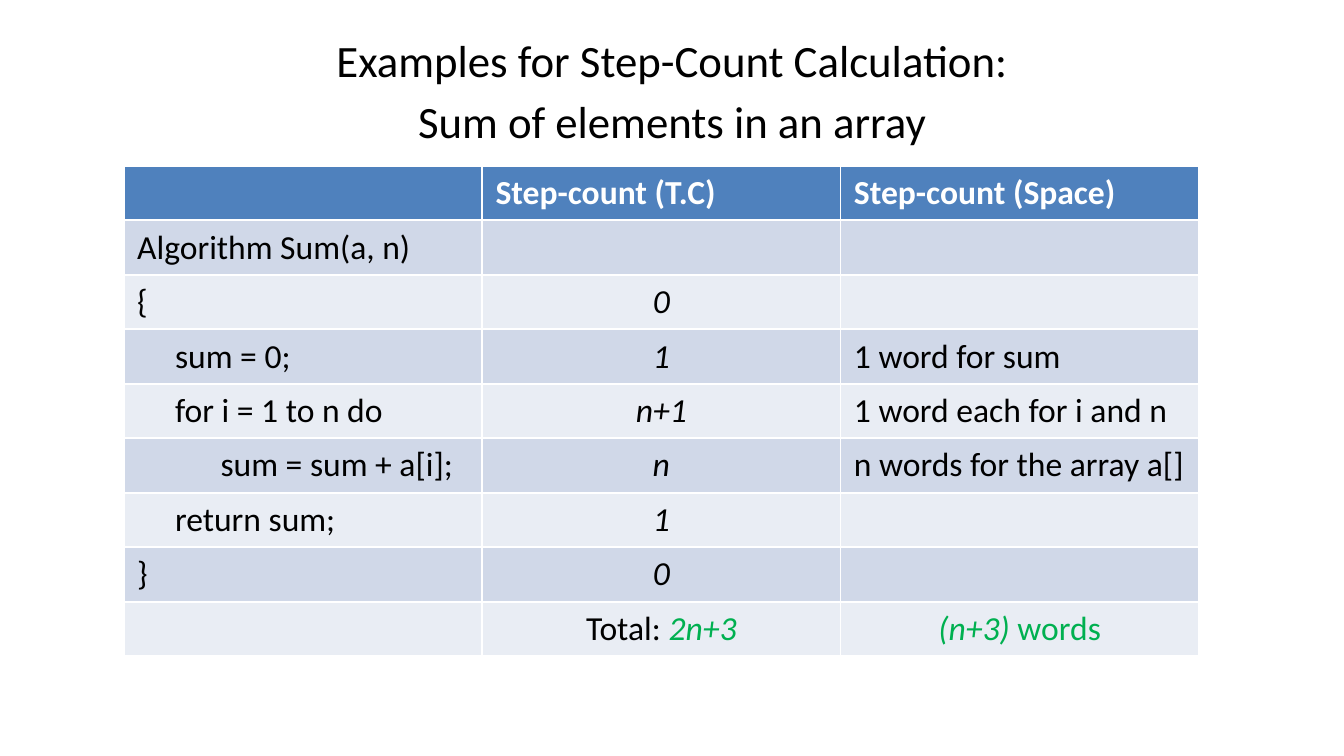
"""Build a slide with the step counts of an array-sum algorithm."""
from pptx import Presentation
from pptx.dml.color import RGBColor
from pptx.enum.text import MSO_ANCHOR, PP_ALIGN
from pptx.util import Pt

LEFT, CENTER = PP_ALIGN.LEFT, PP_ALIGN.CENTER
TOP, MIDDLE = MSO_ANCHOR.TOP, MSO_ANCHOR.MIDDLE
BLACK = RGBColor(0x00, 0x00, 0x00)
WHITE = RGBColor(0xFF, 0xFF, 0xFF)
GREEN = RGBColor(0x00, 0xB0, 0x50)
BLUE = RGBColor(0x4F, 0x81, 0xBD)
BANDS = RGBColor(0xE9, 0xED, 0xF4), RGBColor(0xD0, 0xD8, 0xE8)
FONT = "Calibri"

HEADINGS = [
    ("Examples for Step-Count Calculation:", 16.5, 30.3, MIDDLE),
    ("Sum of elements in an array", 46.8, 315, TOP),
]
COLUMNS = ["", "Step-count (T.C)", "Step-count (Space)"]
STEPS = [
    ("Algorithm Sum(a, n)", "", ""),
    ("{", "0", ""),
    ("     sum = 0;", "1", "1 word for sum"),
    ("     for i = 1 to n do", "n+1", "1 word each for i and n"),
    ("           sum = sum + a[i];", "n", "n words for the array a[]"),
    ("     return sum;", "1", ""),
    ("}", "0", ""),
]
TOTALS = [
    [],
    [("Total: ", BLACK, False), ("2n+3", GREEN, True)],
    [("(n+3)", GREEN, True), (" words", GREEN, False)],
]
TABLE_LEFT, TABLE_TOP = 66.3, 88.8
COLUMN_WIDTH, ROW_HEIGHT = 192, 29.2


def add_run(paragraph, text, size, color, italic=False, bold=False):
    run = paragraph.add_run()
    run.text = text
    font = run.font
    font.name, font.size, font.color.rgb = FONT, Pt(size), color
    font.italic, font.bold = italic, bold


def fill_cell(cell, background, runs, align=LEFT, bold=False):
    cell.fill.solid()
    cell.fill.fore_color.rgb = background
    paragraph = cell.text_frame.paragraphs[0]
    paragraph.alignment = align
    for text, color, italic in runs:
        add_run(paragraph, text, 18, color, italic, bold)


def add_headings(slide):
    for text, top, height, anchor in HEADINGS:
        frame = slide.shapes.add_textbox(Pt(36), Pt(top), Pt(648), Pt(height)).text_frame
        frame.word_wrap = True
        frame.vertical_anchor = anchor
        heading = frame.paragraphs[0]
        heading.alignment = CENTER
        add_run(heading, text, 24, BLACK)


def add_step_table(slide):
    row_count, column_count = len(STEPS) + 2, len(COLUMNS)
    table = slide.shapes.add_table(
        row_count, column_count, Pt(TABLE_LEFT), Pt(TABLE_TOP),
        Pt(COLUMN_WIDTH * column_count), Pt(ROW_HEIGHT * row_count)).table
    for column, label in enumerate(COLUMNS):
        runs = [(label, WHITE, False)] if label else []
        fill_cell(table.cell(0, column), BLUE, runs, bold=True)
    for row, step in enumerate(STEPS, 1):
        for column, text in enumerate(step):
            is_count = column == 1
            runs = [(text, BLACK, is_count)] if text else []
            fill_cell(table.cell(row, column), BANDS[row % 2], runs,
                      CENTER if is_count else LEFT)
    last = row_count - 1
    for column, runs in enumerate(TOTALS):
        fill_cell(table.cell(last, column), BANDS[last % 2], runs, CENTER)


def main():
    deck = Presentation()
    deck.slide_width, deck.slide_height = Pt(720), Pt(405)
    slide = deck.slides.add_slide(deck.slide_layouts[6])
    add_headings(slide)
    add_step_table(slide)
    deck.save("out.pptx")


if __name__ == "__main__":
    main()
